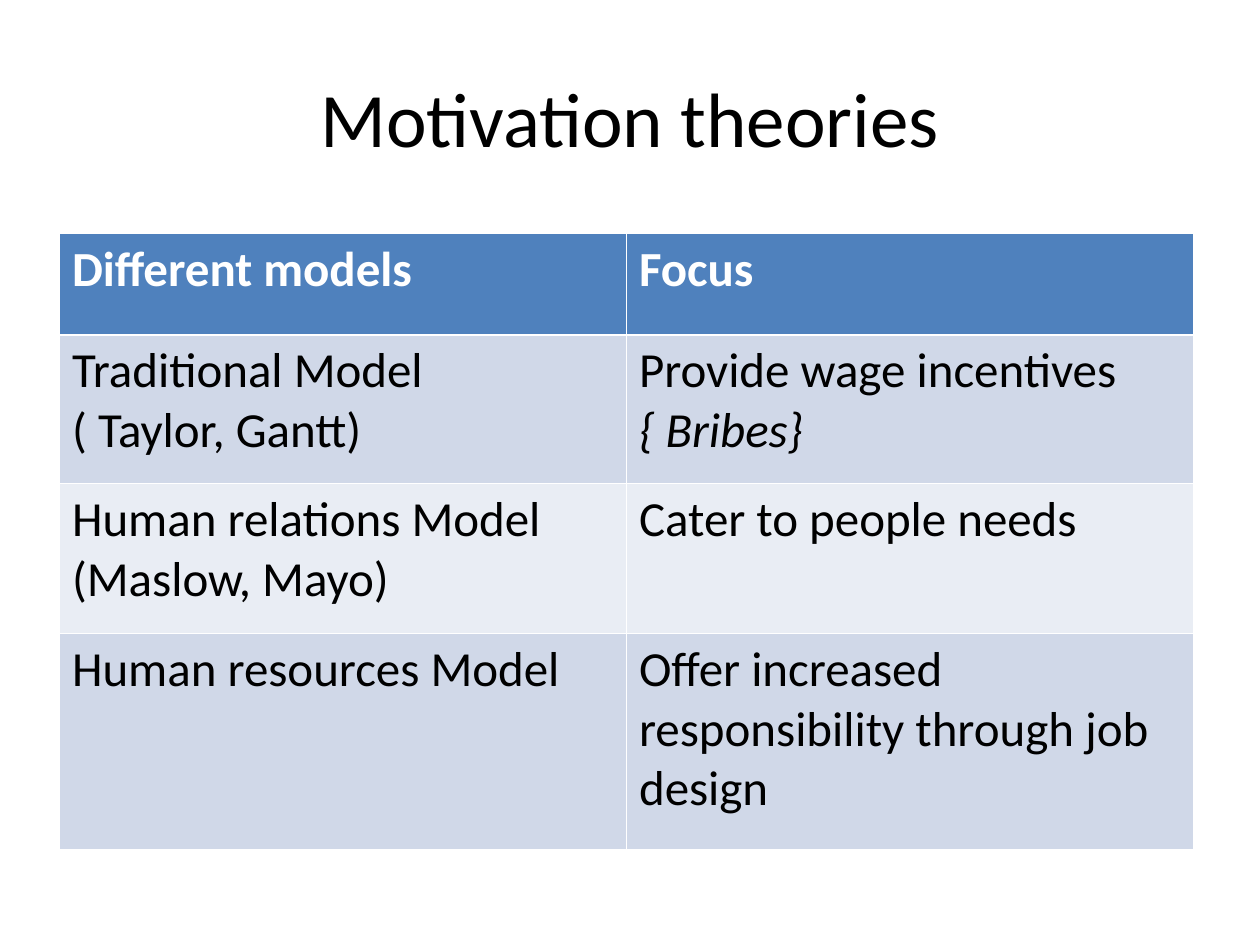
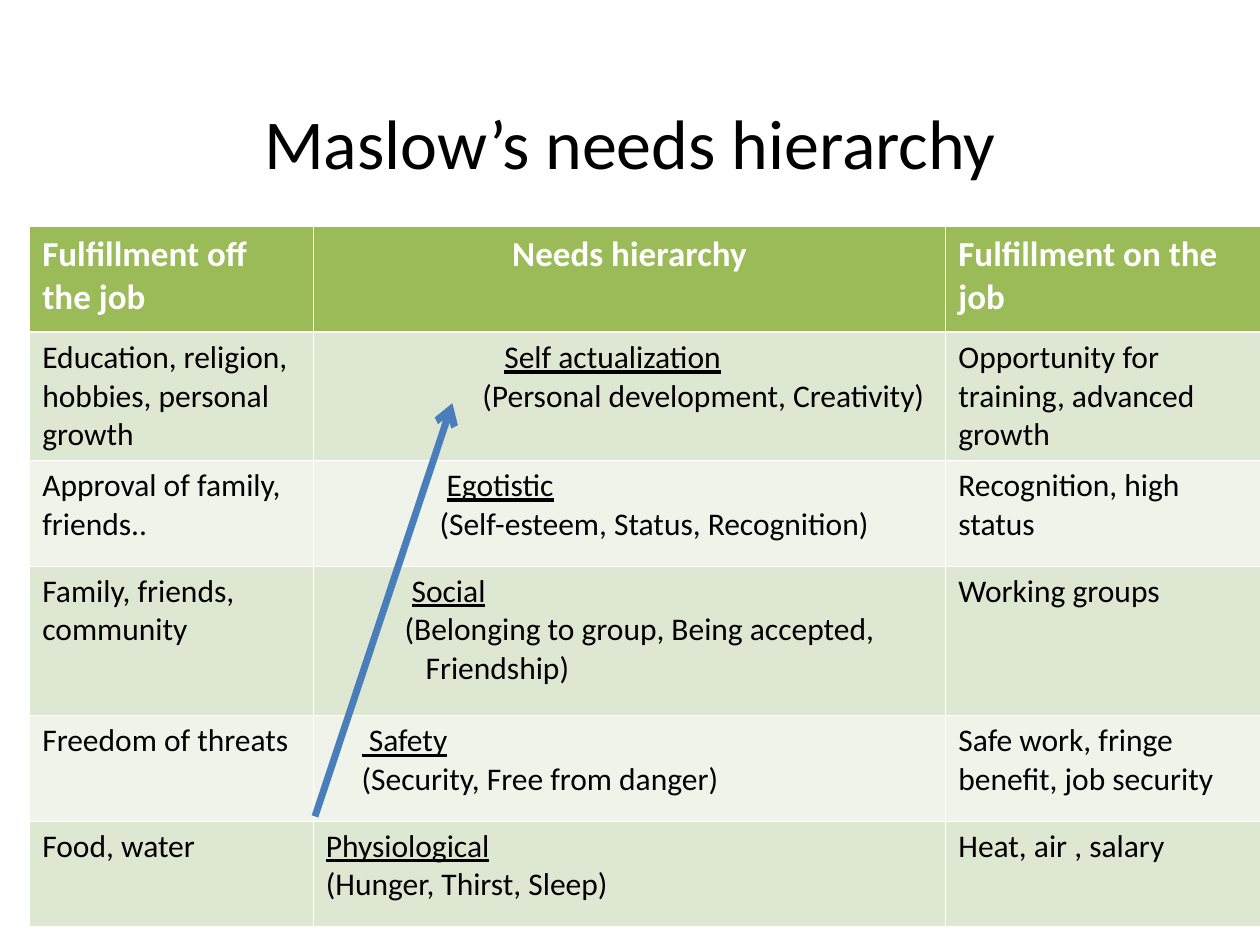
from dataclasses import dataclass

from lxml.etree import SubElement
from pptx import Presentation
from pptx.dml.color import RGBColor
from pptx.enum.shapes import MSO_CONNECTOR
from pptx.enum.text import MSO_ANCHOR, MSO_AUTO_SIZE, PP_ALIGN
from pptx.oxml.ns import qn
from pptx.util import Pt

FONT = "Calibri"
COLORS = {
    "text": "000000",
    "white": "FFFFFF",
    "blue": "4F81BD",
    "blue_dark": "D0D8E8",
    "blue_light": "E9EDF4",
    "green": "9BBB59",
    "green_dark": "DEE7D1",
    "green_light": "EFF3EA",
    "arrow": "4A7EBB",
}
THIN, THICK = 0.45, 1.47


@dataclass
class Line:
    """One paragraph of a table cell, indented by a number of points."""
    text: str
    indent: float = 0
    italic: bool = False
    underline: bool = False


def need(name, indent, *details):
    """Cell lines of one level: underlined name, then (text, indent) details."""
    return [Line(name, indent, underline=True)] + [Line(*d) for d in details]


MODELS = [
    ["Different models", "Focus"],
    [[Line("Traditional Model"), Line("( Taylor, Gantt)")],
     [Line("Provide wage incentives"), Line("{ Bribes}", italic=True)]],
    [[Line("Human relations Model"), Line("(Maslow, Mayo)")],
     "Cater to people needs"],
    ["Human resources Model",
     "Offer increased responsibility through job design"],
]

NEEDS = [
    ["Fulfillment off the job", "Needs hierarchy", "Fulfillment on the job"],
    ["Education, religion, hobbies, personal growth",
     need("Self actualization", 102,
          ("(Personal development, Creativity)", 89.5)),
     "Opportunity for training, advanced growth"],
    ["Approval of family, friends..",
     need("Egotistic", 69, ("(Self-esteem, Status, Recognition)", 65)),
     "Recognition, high status"],
    ["Family, friends, community",
     need("Social", 49, ("(Belonging to group, Being accepted,", 45),
          ("Friendship)", 57)),
     "Working groups"],
    ["Freedom of threats",
     need(" Safety", 20.5, ("(Security, Free from danger)", 20.5)),
     "Safe work, fringe benefit, job security"],
    ["Food, water",
     need("Physiological", 0, ("(Hunger, Thirst, Sleep)", 0)),
     "Heat, air , salary"],
]


def rgb(name):
    return RGBColor.from_string(COLORS[name])


def style_font(font, size, color, bold=False):
    font.name = FONT
    font.size = Pt(size)
    font.bold = bold
    font.color.rgb = rgb(color)


def add_titled_slide(prs, title, top, height, size):
    s = prs.slides.add_slide(prs.slide_layouts.get_by_name("Title Only"))
    sp = s.shapes.title
    sp.left, sp.top, sp.width, sp.height = Pt(36), Pt(top), Pt(648), Pt(height)
    tf = sp.text_frame
    tf.text = title
    tf.auto_size = MSO_AUTO_SIZE.NONE
    tf.vertical_anchor = MSO_ANCHOR.MIDDLE
    p = tf.paragraphs[0]
    p.alignment = PP_ALIGN.CENTER
    style_font(p.font, size, "text")
    return s


def set_borders(cell, top, bottom):
    tc_pr = cell._tc.get_or_add_tcPr()
    for side, width in (("L", THIN), ("R", THIN), ("T", top), ("B", bottom)):
        ln = SubElement(tc_pr, qn(f"a:ln{side}"), w=str(Pt(width)))
        fill = SubElement(ln, qn("a:solidFill"))
        SubElement(fill, qn("a:srgbClr"), val=COLORS["white"])


def fill_cell(cell, content, size, color, bold):
    lines = [Line(content)] if isinstance(content, str) else content
    tf = cell.text_frame
    for i, line in enumerate(lines):
        p = tf.add_paragraph() if i else tf.paragraphs[0]
        p.text = line.text
        if line.indent:
            p._p.get_or_add_pPr().set("marL", str(Pt(line.indent)))
        style_font(p.font, size, color, bold)
        p.font.italic = line.italic
        p.font.underline = line.underline


def add_banded_table(s, rows, left, top, widths, heights, hue, sizes):
    """Add a table with a header in the hue and bands in its two tints."""
    table = s.shapes.add_table(
        len(rows), len(widths), Pt(left), Pt(top),
        Pt(sum(widths)), Pt(sum(heights))).table
    for col, width in zip(table.columns, widths):
        col.width = Pt(width)
    header_size, body_size = sizes
    for r, (contents, height) in enumerate(zip(rows, heights)):
        table.rows[r].height = Pt(height)
        is_header = r == 0
        band = hue if is_header else hue + ("_dark" if r % 2 else "_light")
        for c, content in enumerate(contents):
            cell = table.cell(r, c)
            set_borders(cell, THICK if r == 1 else THIN,
                        THICK if is_header else THIN)
            cell.fill.solid()
            cell.fill.fore_color.rgb = rgb(band)
            fill_cell(cell, content,
                      header_size if is_header else body_size,
                      "white" if is_header else "text", is_header)
    return table


def add_arrow(s, x1, y1, x2, y2):
    cxn = s.shapes.add_connector(
        MSO_CONNECTOR.STRAIGHT, Pt(x1), Pt(y1), Pt(x2), Pt(y2))
    cxn.line.color.rgb = rgb("arrow")
    cxn.line.width = Pt(4)
    SubElement(cxn.line._get_or_add_ln(), qn("a:tailEnd"), type="arrow")
    SubElement(cxn._element.spPr, qn("a:effectLst"))


def main():
    prs = Presentation()
    prs.slide_width, prs.slide_height = Pt(720), Pt(540)

    s = add_titled_slide(prs, "Motivation theories", 21.6, 90, 44)
    add_banded_table(s, MODELS, 34, 133.4, [324, 324],
                     [58, 85, 85.5, 123.5], "blue", (28, 28))

    s = add_titled_slide(prs, "Maslow’s needs hierarchy", 55.4, 51, 40)
    low = 60.3
    table = add_banded_table(s, NEEDS, 17, 129.6, [162, 361.5, 180],
                             [low, 73.2, low, 85.5, low, low],
                             "green", (20, 18))
    table.cell(0, 1).text_frame.paragraphs[0].alignment = PP_ALIGN.CENTER
    add_arrow(s, 180, 466.5, 258.5, 230.4)

    prs.save("out.pptx")


if __name__ == "__main__":
    main()
